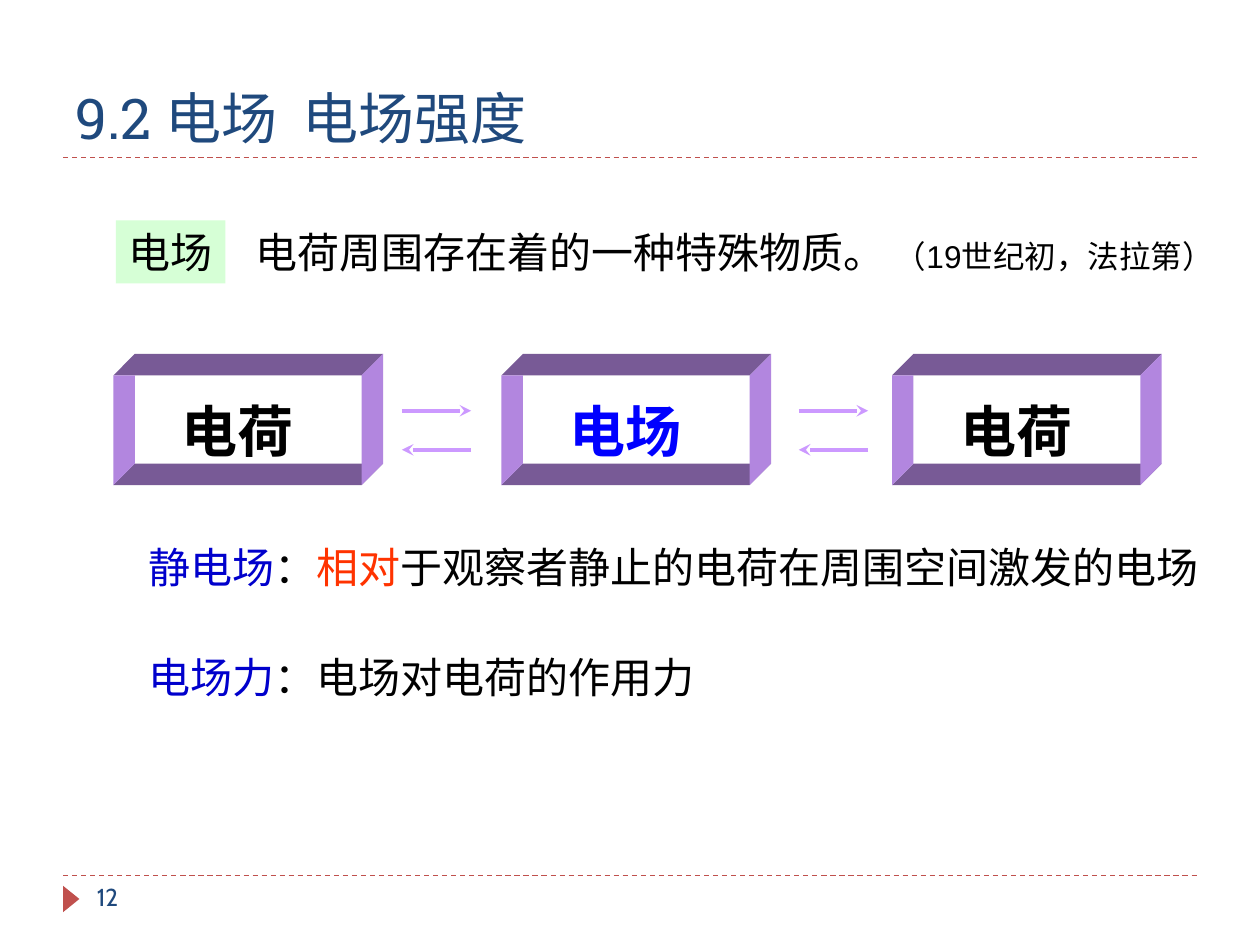
"""Builds the slide on the electric field and its strength."""
from lxml.etree import SubElement
from pptx import Presentation
from pptx.dml.color import RGBColor
from pptx.enum.dml import MSO_LINE
from pptx.enum.shapes import MSO_CONNECTOR, MSO_SHAPE
from pptx.enum.text import MSO_ANCHOR, PP_ALIGN
from pptx.oxml.ns import qn
from pptx.util import Inches, Pt

BLACK = RGBColor(0, 0, 0)
WHITE = RGBColor(255, 255, 255)
NAVY = RGBColor(0x1F, 0x49, 0x7D)
BRICK = RGBColor(0xC0, 0x50, 0x4D)
GREEN = RGBColor(0xCC, 0xFF, 0xCC)
BLUE = RGBColor(0, 0, 0xFF)
TERM_BLUE = RGBColor(0, 0, 0xCC)
RED = RGBColor(0xFF, 0x33, 0)
LILAC = RGBColor(0xCC, 0x99, 0xFF)
BEVEL_DARK = RGBColor(0x78, 0x5A, 0x96)
BEVEL_LIGHT = RGBColor(0xB2, 0x86, 0xDF)
CJK = "Noto Sans CJK SC"

TITLE = [("9.2 电场  电场强度", 32, NAVY)]
LABEL = [("电场", 24, BLACK)]
TEXTS = [
    ((1.93, 1.75, 7.82, 0.5), True, "Arial",
     [("电荷周围存在着的一种特殊物质。 ", 24, BLACK), ("（19世纪初，法拉第）", 18, BLACK)]),
    ((1.08, 4.25, 8.53, 0.5), False, "Arial",
     [("静电场", 24, TERM_BLUE), ("：", 24, BLACK), ("相对", 24, RED),
      ("于观察者静止的电荷在周围空间激发的电场", 24, BLACK)]),
    ((1.08, 5.12, 4.53, 0.5), False, "Arial",
     [("电场力", 24, TERM_BLUE), ("：电场对电荷的作用力", 24, BLACK)]),
    ((0.67, 6.95, 2.17, 0.4), True, "Cabin", [("12", 14, NAVY)]),
]
BOXES = [(0.9, "电荷", BLACK), (3.98, "电场", BLUE), (7.08, "电荷", BLACK)]
BOX_TOP, BOX_W, BOX_H, DEPTH = 2.98, 1.97, 0.87, 0.17
ARROW_LEFTS, ARROW_W, ARROW_YS = (3.19, 6.34), 0.55, (3.26, 3.57)
RULE_YS = (1.25, 6.95)


def write(tf, runs, font, bold=None, align=None):
    p = tf.paragraphs[0]
    p.alignment = align
    for text, size, color in runs:
        r = p.add_run()
        r.text = text
        r.font.name, r.font.size, r.font.bold = font, Pt(size), bold
        r.font.color.rgb = color
        SubElement(r.font._element, qn("a:ea"), typeface=CJK)


def style(sp, fill):
    sp.shadow.inherit = False
    sp.fill.solid()
    sp.fill.fore_color.rgb = fill
    sp.line.fill.background()


def add_line(s, x1, y1, x2, y2, color, width):
    line = s.shapes.add_connector(MSO_CONNECTOR.STRAIGHT, *map(Inches, (x1, y1, x2, y2)))
    line.line.color.rgb, line.line.width = color, Pt(width)
    SubElement(line._element.spPr, qn("a:effectLst"))
    return line


def add_arrow(s, x1, x2, y):
    arrow = add_line(s, x1, y, x2, y, LILAC, 2.25)
    SubElement(arrow.line._get_or_add_ln(), qn("a:tailEnd"), type="stealth")


def add_rect(s, at, fill, runs, font, bold=None):
    sp = s.shapes.add_shape(MSO_SHAPE.RECTANGLE, *map(Inches, at))
    style(sp, fill)
    tf = sp.text_frame
    tf.word_wrap, tf.vertical_anchor = False, MSO_ANCHOR.MIDDLE
    write(tf, runs, font, bold, PP_ALIGN.CENTER)
    return sp


def add_bevel_box(s, left, text, color):
    top, right, bottom = BOX_TOP, left + BOX_W, BOX_TOP + BOX_H
    add_rect(s, (left, top, BOX_W, BOX_H), WHITE, [(text, 32, color)], CJK, True)
    x1, x2 = left + DEPTH, right + DEPTH
    y1, y2 = top - DEPTH, bottom - DEPTH
    sides = [
        (BEVEL_DARK, [(left, top), (x1, y1), (x2, y1), (right, top)]),
        (BEVEL_DARK, [(left, bottom), (x1, y2), (x2, y2), (right, bottom)]),
        (BEVEL_LIGHT, [(left, top), (x1, top), (x1, y2), (left, bottom)]),
        (BEVEL_LIGHT, [(right, top), (x2, y1), (x2, y2), (right, bottom)]),
    ]
    for fill, points in sides:
        corners = [(Inches(x), Inches(y)) for x, y in points]
        outline = s.shapes.build_freeform(*corners[0])
        outline.add_line_segments(corners[1:])
        style(outline.convert_to_shape(), fill)


def main():
    prs = Presentation()
    prs.slide_width, prs.slide_height = Inches(10), Inches(7.5)
    s = prs.slides.add_slide(prs.slide_layouts[5])

    for y in RULE_YS:
        add_line(s, 0.5, y, 9.5, y, BRICK, 0.75).line.dash_style = MSO_LINE.DASH
    marker = s.shapes.add_shape(MSO_SHAPE.ISOSCELES_TRIANGLE,
                                *map(Inches, (0.46, 7.07, 0.21, 0.13)))
    marker.rotation = 90
    style(marker, BRICK)

    title = s.shapes.title
    title.left, title.top, title.width, title.height = map(Inches, (0.5, 0.25, 9, 1))
    title.text_frame.vertical_anchor = MSO_ANCHOR.BOTTOM
    write(title.text_frame, TITLE, "Roboto Slab", align=PP_ALIGN.LEFT)

    label = add_rect(s, (0.92, 1.75, 0.87, 0.5), GREEN, LABEL, "Times New Roman")
    rgb = label.fill._xPr.find(qn("a:solidFill")).find(qn("a:srgbClr"))
    SubElement(rgb, qn("a:alpha"), val="80000")

    for at, wrap, font, runs in TEXTS:
        tf = s.shapes.add_textbox(*map(Inches, at)).text_frame
        tf.word_wrap = wrap
        write(tf, runs, font)

    for box in BOXES:
        add_bevel_box(s, *box)
    for left in ARROW_LEFTS:
        add_arrow(s, left, left + ARROW_W, ARROW_YS[0])
        add_arrow(s, left + ARROW_W, left, ARROW_YS[1])

    prs.save("out.pptx")


if __name__ == "__main__":
    main()
